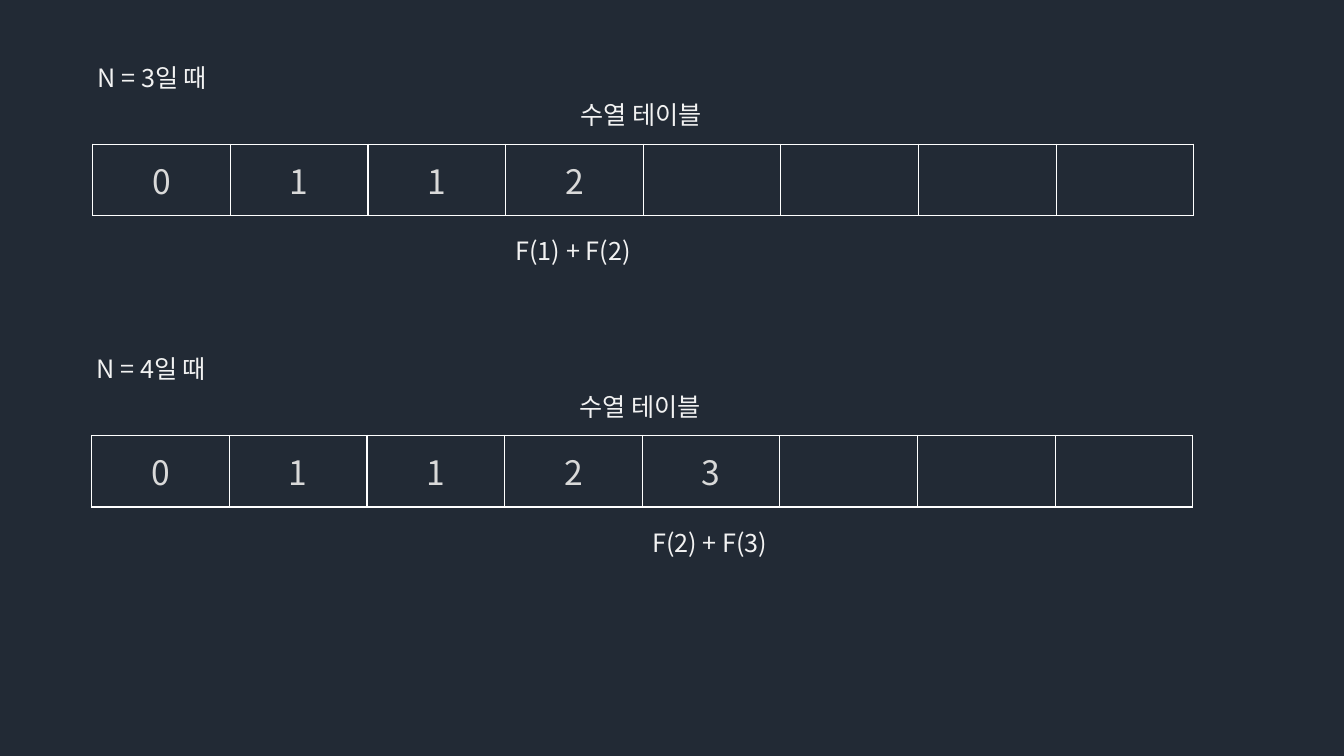
"""Build a slide showing the Fibonacci sequence table for N = 3 and N = 4."""
from lxml import etree
from pptx import Presentation
from pptx.dml.color import RGBColor
from pptx.enum.text import MSO_ANCHOR, MSO_AUTO_SIZE, PP_ALIGN
from pptx.oxml.ns import qn
from pptx.util import Inches, Pt

MIDDLE = MSO_ANCHOR.MIDDLE
GROW = MSO_AUTO_SIZE.SHAPE_TO_FIT_TEXT
CENTER = PP_ALIGN.CENTER

THEME = {
    "font": "Noto Sans CJK KR",
    "background": "222A35",
    "border": "FFFFFF",
    "label": ("F2F2F2", 18),
    "value": ("D9D9D9", 24),
}
COLS = 8
COL_W = 10.92 / COLS
ROW_H = 0.71


def style(p, role):
    color, size = THEME[role]
    p.font.name = THEME["font"]
    p.font.size = Pt(size)
    p.font.color.rgb = RGBColor.from_string(color)
    etree.SubElement(p.font._element, qn("a:ea"), typeface=THEME["font"])


def add_label(s, text, left, top, width):
    box = s.shapes.add_textbox(Inches(left), Inches(top), Inches(width), Inches(0.4))
    tf = box.text_frame
    tf.word_wrap = True
    tf.auto_size = GROW
    p = tf.paragraphs[0]
    p.text = text
    style(p, "label")


prs = Presentation()
prs.slide_width = Inches(13.33)
prs.slide_height = Inches(7.5)
s = prs.slides.add_slide(prs.slide_layouts[6])
s.background.fill.solid()
s.background.fill.fore_color.rgb = RGBColor.from_string(THEME["background"])

steps = [
    (3, [0, 1, 1, 2], 0.92, 1.43),
    (4, [0, 1, 1, 2, 3], 0.91, 4.32),
]
for n, values, left, top in steps:
    frame = s.shapes.add_table(
        1, COLS, Inches(left), Inches(top), Inches(COL_W * COLS), Inches(ROW_H)
    )
    table = frame.table
    table.first_row = False
    table.horz_banding = False
    for col in range(COLS):
        table.columns[col].width = Inches(COL_W)
        cell = table.cell(0, col)
        cell.vertical_anchor = MIDDLE
        tc_pr = cell._tc.get_or_add_tcPr()
        for side in ("a:lnL", "a:lnR", "a:lnT", "a:lnB"):
            ln = etree.SubElement(tc_pr, qn(side), w=str(Pt(1)))
            fill = etree.SubElement(ln, qn("a:solidFill"))
            etree.SubElement(fill, qn("a:srgbClr"), val=THEME["border"])
        cell.fill.background()
        if col < len(values):
            p = cell.text_frame.paragraphs[0]
            p.text = str(values[col])
            p.alignment = CENTER
            style(p, "value")

    add_label(s, f"N = {n}일 때", left - 0.05, top - 0.86, 1.74)
    add_label(s, "수열 테이블", left + 4.74, top - 0.49, 1.6)
    add_label(s, f"F({n - 2}) + F({n - 1})", left + n * COL_W, top + 0.86, 1.45)

prs.save("out.pptx")
